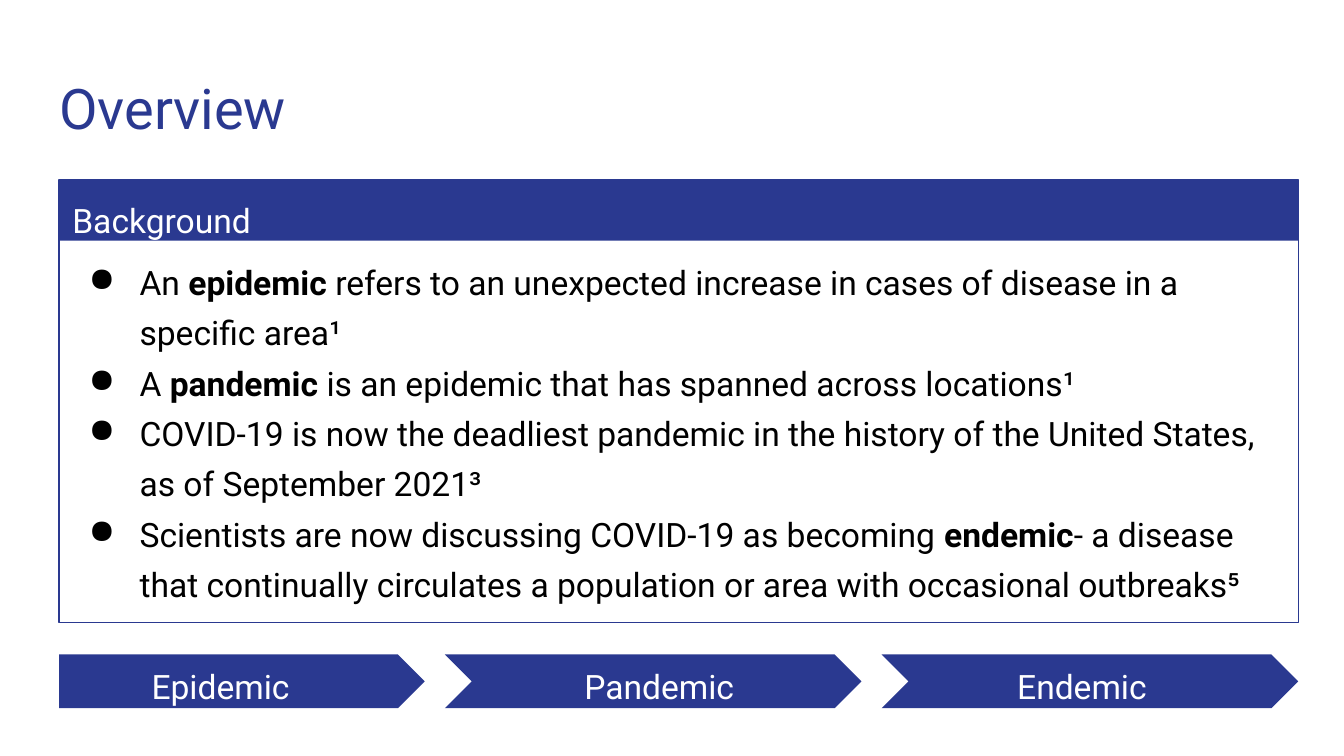
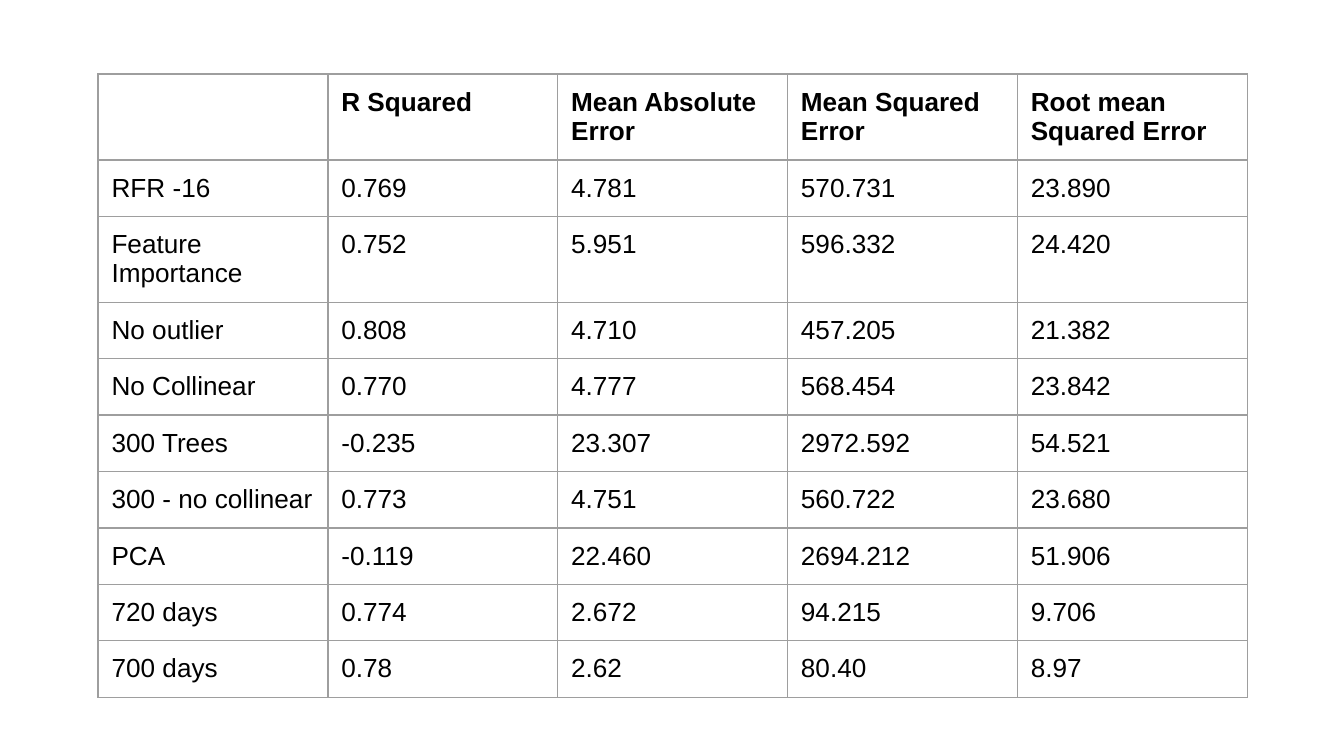
from lxml import etree
from pptx import Presentation
from pptx.dml.color import RGBColor
from pptx.enum.shapes import MSO_SHAPE
from pptx.enum.text import MSO_ANCHOR, MSO_AUTO_SIZE, PP_ALIGN
from pptx.oxml.ns import qn
from pptx.util import Inches, Pt

RECT, PENTAGON, CHEVRON = MSO_SHAPE.RECTANGLE, MSO_SHAPE.PENTAGON, MSO_SHAPE.CHEVRON
TOP, MIDDLE = MSO_ANCHOR.TOP, MSO_ANCHOR.MIDDLE
LEFT, NO_FIT = PP_ALIGN.LEFT, MSO_AUTO_SIZE.NONE
TITLE_ONLY, BLANK = 5, 6

COLORS = {"navy": "2A3990", "white": "FFFFFF", "black": "000000", "grid": "9E9E9E"}
HEAD_FONT, TABLE_FONT = "Roboto", "Arial"

# Page grid, in inches
WIDTH, HEIGHT = 10, 5.625
MARGIN, RIGHT = 0.44, 9.66
CONTENT = RIGHT - MARGIN
PANEL_TOP, PANEL_H, BAND_H = 1.34, 3.29, 0.45
STEP_TOP, STEP_H, STEP_PITCH, STEP_GAP = 4.87, 0.4, 3.25, 0.15
LABEL_H, LABEL_W, INSET = 0.5, 2.73, 0.1

BULLETS = [
    [("An ", False), ("epidemic", True),
     (" refers to an unexpected increase in cases of disease in a specific area", False),
     ("¹", False)],
    [("A ", False), ("pandemic", True),
     (" is an epidemic that has spanned across locations", False), ("¹", False)],
    [("COVID-19 is now the deadliest pandemic in the history of the United States, "
      "as of September 2021", False), ("³", False)],
    [("Scientists are now discussing COVID-19 as becoming ", False), ("endemic", True),
     ("- a disease that continually circulates a population or area with "
      "occasional outbreaks", False), ("⁵", False)],
]
# Step name, label left, label width
STEPS = [("Epidemic", 1.03, LABEL_W), ("Pandemic", 4.25, LABEL_W), ("Endemic", 7.47, 2.02)]

RESULTS = [
    ["", "R Squared", "Mean Absolute Error", "Mean Squared Error", "Root mean Squared Error"],
    ["RFR -16", "0.769", "4.781", "570.731", "23.890"],
    ["Feature Importance", "0.752", "5.951", "596.332", "24.420"],
    ["No outlier", "0.808", "4.710", "457.205", "21.382"],
    ["No Collinear", "0.770", "4.777", "568.454", "23.842"],
    ["300 Trees", "-0.235", "23.307", "2972.592", "54.521"],
    ["300 - no collinear", "0.773", "4.751", "560.722", "23.680"],
    ["PCA", "-0.119", "22.460", "2694.212", "51.906"],
    ["720 days", "0.774", "2.672", "94.215", "9.706"],
    ["700 days", "0.78", "2.62", "80.40", "8.97"],
]
TWO_LINE_ROWS = (0, 2)
ROW_H, TALL_ROW_H, COL_W = 0.42, 0.64, 1.71


def rgb(name):
    return RGBColor.from_string(COLORS[name])


def box(*lengths):
    return [Inches(v) for v in lengths]


def add_run(p, text, size, color, font=HEAD_FONT, bold=False):
    r = p.add_run()
    r.text = text
    r.font.size, r.font.name, r.font.bold = Pt(size), font, bold
    r.font.color.rgb = rgb(color)


def set_frame(tf, anchor=TOP):
    tf.word_wrap, tf.auto_size, tf.vertical_anchor = True, NO_FIT, anchor
    tf.margin_left = tf.margin_right = tf.margin_top = tf.margin_bottom = Inches(INSET)


def add_title(s, text):
    title = s.shapes.title
    title.left, title.top, title.width, title.height = box(0.34, 0.45, 9.32, 0.66)
    set_frame(title.text_frame)
    p = title.text_frame.paragraphs[0]
    p.alignment = LEFT
    add_run(p, text, 30, "navy")


def add_block(s, kind, at, fill=None, line=None):
    sp = s.shapes.add_shape(kind, *box(*at))
    sp.shadow.inherit = False
    if fill:
        sp.fill.solid()
        sp.fill.fore_color.rgb = rgb(fill)
    else:
        sp.fill.background()
    if line:
        sp.line.color.rgb = rgb(line)
        sp.line.width = Pt(0.75)
    else:
        sp.line.fill.background()


def add_label(s, text, left, top, width):
    tf = s.shapes.add_textbox(*box(left, top, width, LABEL_H)).text_frame
    set_frame(tf)
    p = tf.paragraphs[0]
    p.line_spacing = 1.15
    add_run(p, text, 18, "white")


def set_bullet(p):
    pPr = p._p.get_or_add_pPr()
    pPr.set("marL", str(Inches(0.5)))
    pPr.set("indent", str(Inches(-0.38)))
    color = etree.SubElement(pPr, qn("a:buClr"))
    etree.SubElement(color, qn("a:srgbClr"), val=COLORS["black"])
    etree.SubElement(pPr, qn("a:buChar"), char="●")


def add_bullets(s, items, at):
    tf = s.shapes.add_textbox(*box(*at)).text_frame
    set_frame(tf, MIDDLE)
    for i, runs in enumerate(items):
        p = tf.add_paragraph() if i else tf.paragraphs[0]
        p.line_spacing = 1.25
        p.space_before = Pt(0 if i else 18)
        set_bullet(p)
        for text, bold in runs:
            add_run(p, text, 18, "black", bold=bold)


def set_borders(cell):
    tcPr = cell._tc.get_or_add_tcPr()
    for i, side in enumerate(("a:lnL", "a:lnR", "a:lnT", "a:lnB")):
        ln = etree.Element(qn(side), w=str(Pt(0.75)))
        fill = etree.SubElement(ln, qn("a:solidFill"))
        etree.SubElement(fill, qn("a:srgbClr"), val=COLORS["grid"])
        tcPr.insert(i, ln)


def add_results(s, rows, left, top):
    heights = [TALL_ROW_H if i in TWO_LINE_ROWS else ROW_H for i in range(len(rows))]
    cols = len(rows[0])
    table = s.shapes.add_table(
        len(rows), cols, *box(left, top, COL_W * cols, sum(heights))).table
    table.first_row = table.horz_banding = False
    for col in table.columns:
        col.width = Inches(COL_W)
    for i, values in enumerate(rows):
        table.rows[i].height = Inches(heights[i])
        for j, value in enumerate(values):
            cell = table.cell(i, j)
            cell.margin_left = cell.margin_right = Inches(INSET)
            cell.margin_top = cell.margin_bottom = Inches(INSET)
            cell.fill.background()
            set_borders(cell)
            if value:
                add_run(cell.text_frame.paragraphs[0], value, 14, "black",
                        TABLE_FONT, bold=i == 0)


def overview_slide(prs):
    s = prs.slides.add_slide(prs.slide_layouts[TITLE_ONLY])
    add_title(s, "Overview")
    # Background panel
    add_block(s, RECT, (MARGIN, PANEL_TOP, CONTENT, BAND_H), fill="navy")
    add_block(s, RECT, (MARGIN, PANEL_TOP, CONTENT, PANEL_H), line="navy")
    add_label(s, "Background", MARGIN, PANEL_TOP, LABEL_W)
    add_bullets(s, BULLETS, (MARGIN, 1.65, CONTENT, 3.07))
    # Row of steps: each ends one gap before the next begins
    for i, (name, label_left, label_width) in enumerate(STEPS):
        end = RIGHT - STEP_PITCH * (len(STEPS) - 1 - i)
        start = end - STEP_PITCH + STEP_GAP if i else MARGIN
        add_block(s, CHEVRON if i else PENTAGON,
                  (start, STEP_TOP, end - start, STEP_H), fill="navy")
        add_label(s, name, label_left, STEP_TOP - 0.06, label_width)


def results_slide(prs):
    s = prs.slides.add_slide(prs.slide_layouts[BLANK])
    add_results(s, RESULTS, 0.73, 0.55)


def main():
    prs = Presentation()
    prs.slide_width, prs.slide_height = box(WIDTH, HEIGHT)
    overview_slide(prs)
    results_slide(prs)
    prs.save("out.pptx")


main()
